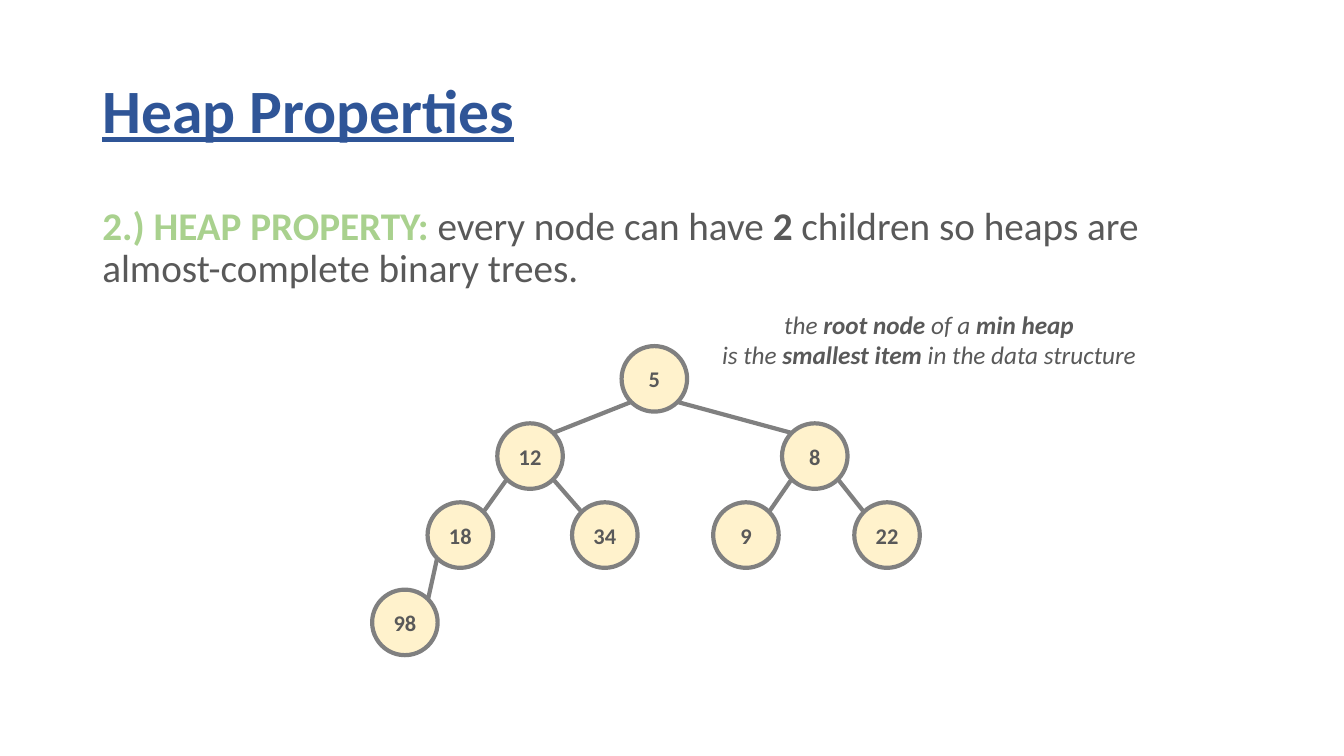
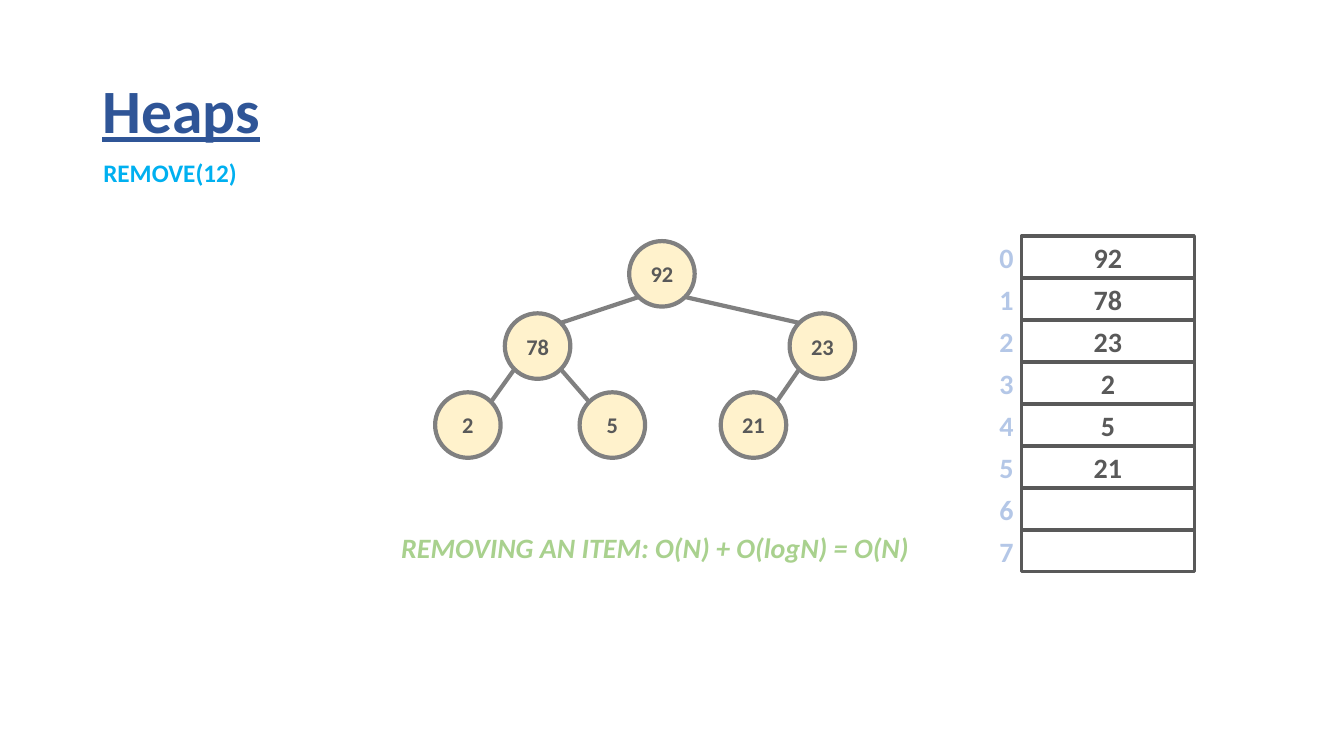
from math import sqrt

from lxml import etree
from pptx import Presentation, util as u
from pptx.dml.color import RGBColor
from pptx.enum import shapes, text
from pptx.oxml.ns import qn

NAVY = RGBColor(0x2F, 0x55, 0x97)
GREEN = RGBColor(0xA9, 0xD1, 0x8E)
INK = RGBColor(0x59, 0x59, 0x59)
GREY = RGBColor(0x80, 0x80, 0x80)
CREAM = RGBColor(0xFF, 0xF2, 0xCC)
PALE = RGBColor(0xB4, 0xC7, 0xE7)
SKY = RGBColor(0x00, 0xB0, 0xF0)
WHITE = RGBColor(0xFF, 0xFF, 0xFF)

FONT = "Calibri"
COLS, ROWS = 160, 90  # square grid cells, 12 to the inch
LEFT, WIDE = 11, 138  # text margin and measure, in columns
NODE = 7.8  # node diameter
INSET = NODE * (1 - 1 / sqrt(2)) / 2  # gap from a node's box to its rim at 45 degrees
SPREAD = (0, -14.8, 19.1, -23.1, -5.9, 10.9, 27.7, -29.7)  # heap slots from the root
PITCH = 5  # height of one array row


def grid(*nums):
    """Turn grid units into lengths."""
    return [u.Inches(n / 12) for n in nums]


def write(frame, *lines, size=18, color=INK, bold=False, italic=False,
          under=False, align=text.PP_ALIGN.LEFT, space=None, before=None):
    """Fill a frame; a line is a string or a list of (string, changes) runs."""
    for num, line in enumerate(lines):
        para = frame.add_paragraph() if num else frame.paragraphs[0]
        para.alignment = align
        if space:
            para.line_spacing = space
        if before:
            para.space_before = u.Pt(before)
        for words, change in [(line, {})] if isinstance(line, str) else line:
            run = para.add_run()
            run.text = words
            font = run.font
            font.name, font.size = FONT, u.Pt(size)
            font.bold = change.get("bold", bold)
            font.italic, font.underline = italic, under
            font.color.rgb = change.get("color", color)


def label(slide, box, *lines, wrap=False, anchor=text.MSO_ANCHOR.TOP, **form):
    """Add a text box on the grid."""
    frame = slide.shapes.add_textbox(*grid(*box)).text_frame
    frame.word_wrap = wrap
    frame.vertical_anchor = anchor
    if not wrap:
        frame.auto_size = text.MSO_AUTO_SIZE.SHAPE_TO_FIT_TEXT
    write(frame, *lines, **form)


def title(slide, words):
    """Add the underlined slide title."""
    label(slide, (LEFT, 4.8, WIDE, 17.4), words, wrap=True,
          anchor=text.MSO_ANCHOR.MIDDLE, size=44, color=NAVY, bold=True,
          under=True, space=0.9)


def block(slide, kind, box, words, fill, line, width, size):
    """Add an outlined shape with centred bold text."""
    shape = slide.shapes.add_shape(kind, *grid(*box))
    shape.shadow.inherit = False
    if fill is None:
        shape.fill.background()
    else:
        shape.fill.solid()
        shape.fill.fore_color.rgb = fill
    shape.line.color.rgb = line
    shape.line.width = u.Pt(width)
    if words:
        shape.text_frame.vertical_anchor = text.MSO_ANCHOR.MIDDLE
        write(shape.text_frame, words, size=size, bold=True,
              align=text.PP_ALIGN.CENTER)


def edge(slide, start, end):
    """Join two grid points with a tree branch."""
    link = slide.shapes.add_connector(
        shapes.MSO_CONNECTOR.STRAIGHT, *grid(*start, *end))
    link.line.color.rgb = GREY
    link.line.width = u.Pt(3)
    etree.SubElement(link._element.spPr, qn("a:effectLst"))


def tree(slide, root, tops, keys):
    """Draw a heap: slot n hangs under slot (n - 1) // 2."""
    spots = [(root + SPREAD[n], tops[(n + 1).bit_length() - 1])
             for n in range(len(keys))]
    near, far = INSET, NODE - INSET
    for num, (key, (x, y)) in enumerate(zip(keys, spots)):
        block(slide, shapes.MSO_SHAPE.OVAL, (x, y, NODE, NODE), str(key),
              CREAM, GREY, 3, 16)
        if num:
            px, py = spots[(num - 1) // 2]
            out, into = (near, far) if num % 2 else (far, near)
            edge(slide, (px + out, py + far), (x + into, y + near))


def array(slide, x, y, keys, count):
    """Draw the array cells with their indices on the left."""
    for num in range(count):
        words = str(keys[num]) if num < len(keys) else ""
        top = y + num * PITCH
        fill = None if num == len(keys) else WHITE
        block(slide, shapes.MSO_SHAPE.RECTANGLE, (x, top, 20.6, 4.95), words,
              fill, INK, 2.25, 20)
        label(slide, (x - 3.8, top - 0.1, 4.1, 5.2), str(num), size=20,
              color=PALE, bold=True)


def rule(slide):
    """Build the heap property slide."""
    strong = {"bold": True}
    title(slide, "Heap Properties")
    label(slide, (LEFT, 24, WIDE, 64), [
        ("2.) HEAP PROPERTY: ", {"bold": True, "color": GREEN}),
        ("every node can have ", {}), ("2", strong),
        (" children so heaps are almost-complete binary trees.", {}),
    ], wrap=True, size=28, space=0.9, before=10)
    tree(slide, 74, (41.2, 50.4, 59.8, 70.2), (5, 12, 8, 18, 34, 9, 22, 98))
    label(slide, (84.5, 36.2, 52.2, 8.5),
          [("the ", {}), ("root node", strong), (" of a ", {}),
           ("min heap", strong)],
          [("is the ", {}), ("smallest item", strong),
           (" in the data structure", {})],
          italic=True, align=text.PP_ALIGN.CENTER)


def remove(slide):
    """Build the removal slide."""
    keys = (92, 78, 23, 2, 5, 21)
    title(slide, "Heaps")
    array(slide, 121.6, 28.1, keys, 8)
    tree(slide, 74.9, (28.7, 37.3, 46.7), keys)
    label(slide, (LEFT, 18.1, 18.5, 4.8), "REMOVE(12)", color=SKY, bold=True,
          align=text.PP_ALIGN.CENTER)
    label(slide, (45.5, 62.6, 65, 5.3),
          "REMOVING AN ITEM: O(N) + O(logN) = O(N)", size=20, color=GREEN,
          bold=True, italic=True, align=text.PP_ALIGN.CENTER)


def main():
    """Build the deck."""
    deck = Presentation()
    deck.slide_width, deck.slide_height = grid(COLS, ROWS)
    for build in (rule, remove):
        build(deck.slides.add_slide(deck.slide_layouts[6]))
    deck.save("out.pptx")


main()
